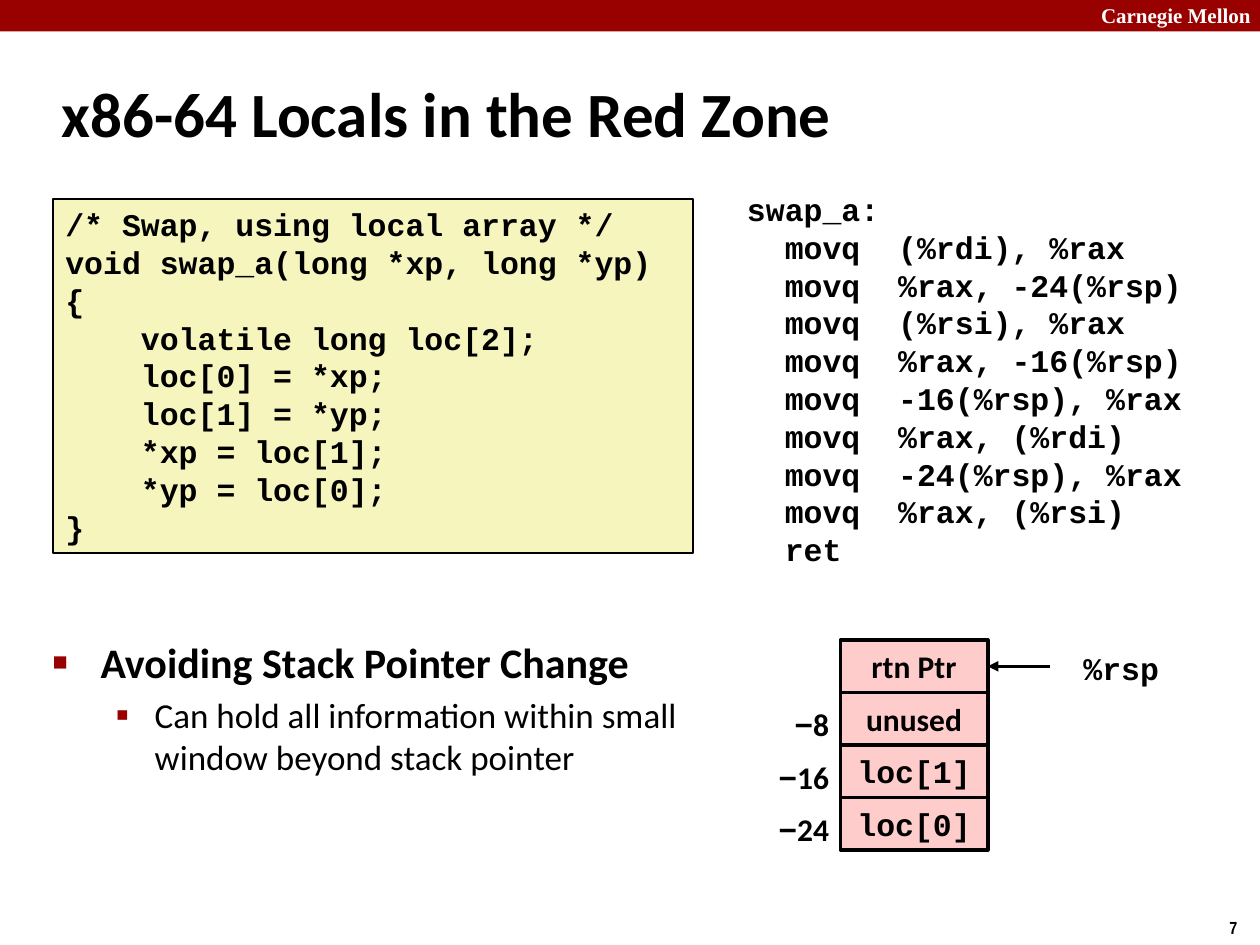
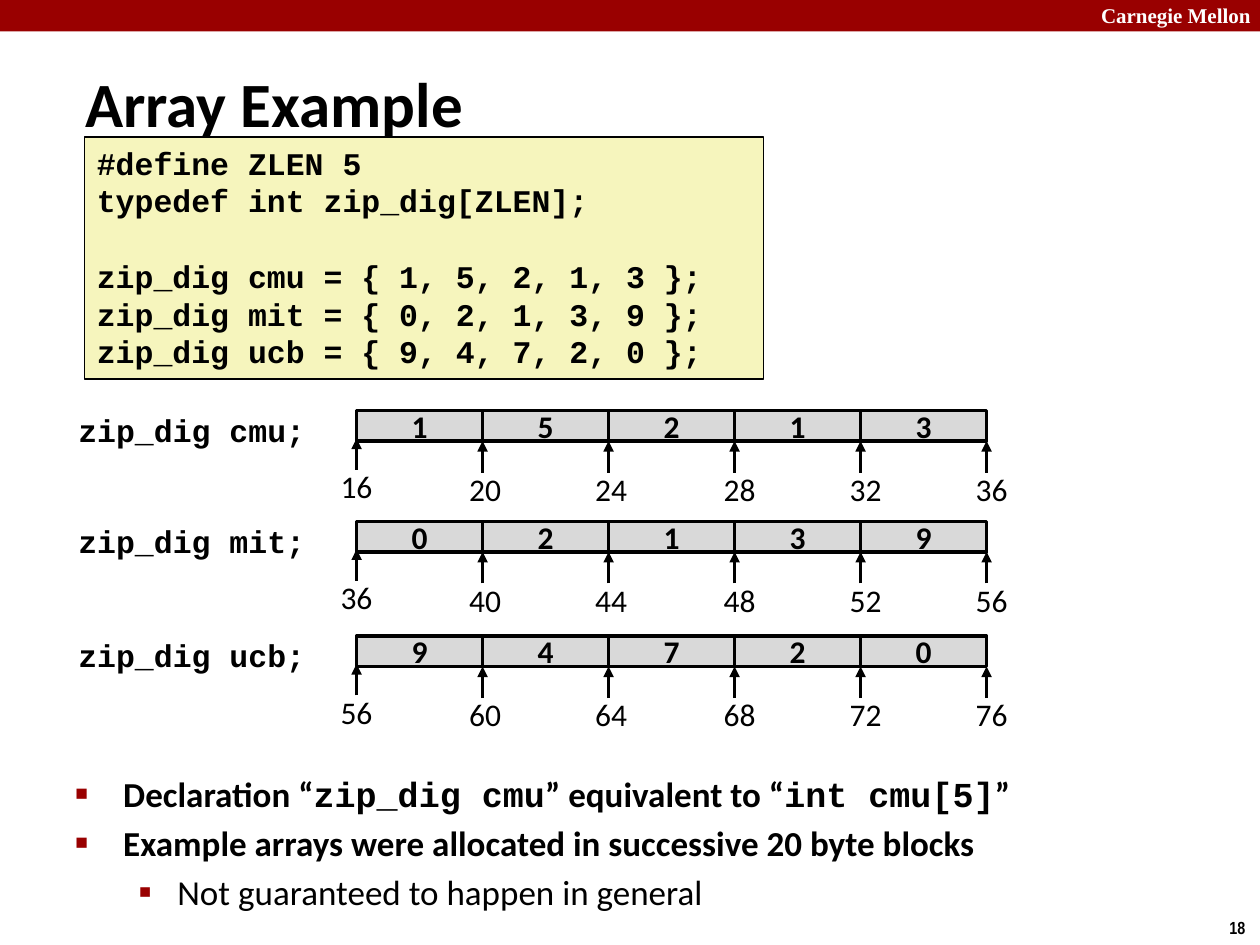
import pptx
import pptx.dml.color
import pptx.enum.shapes
import pptx.enum.text
import pptx.oxml
import pptx.oxml.ns
import pptx.util
from lxml import etree

Inches = pptx.util.Inches
Pt = pptx.util.Pt
ALIGN = pptx.enum.text.PP_ALIGN
ANCHOR = pptx.enum.text.MSO_ANCHOR

# Shared style
BLACK, WHITE, RED = "000000", "FFFFFF", "990000"
CODE_FILL, STACK_FILL, ARRAY_FILL = "F6F5BD", "FFCCCC", "D9D9D9"
BODY_FONT, CODE_FONT = "Calibri", "Courier New"
CODE_LINE_HEIGHT = 21.5

# Bullet levels: left margin, hanging indent, size in percent, character
BULLETS = ((0.38, 0.38, 60, "■"), (0.81, 0.31, 110, "▪"))


def color(hex_value):
    return pptx.dml.color.RGBColor.from_string(hex_value)


def add_child(parent, tag, **attributes):
    child = etree.SubElement(parent, pptx.oxml.ns.qn(tag))
    for name, value in attributes.items():
        child.set(name, str(value))
    return child


def set_bullet(paragraph, level):
    margin, hanging, percent, character = BULLETS[level]
    properties = paragraph._p.get_or_add_pPr()
    properties.set("marL", str(Inches(margin)))
    properties.set("indent", str(-Inches(hanging)))
    bullet_color = add_child(properties, "a:buClr")
    add_child(bullet_color, "a:srgbClr", val=RED)
    add_child(properties, "a:buSzPct", val=percent * 1000)
    add_child(properties, "a:buFont", typeface="Arial")
    add_child(properties, "a:buChar", char=character)


def write_text(paragraph, text, font=BODY_FONT, size=18, bold=True, fill=BLACK,
               align=ALIGN.LEFT, space_before=0, bullet=None):
    """Write a string, or a list of (string, font) pairs, into a paragraph."""
    if bullet is not None:
        paragraph.level = bullet
        set_bullet(paragraph, bullet)
    paragraph.alignment = align
    if space_before:
        paragraph.space_before = Pt(space_before)
    pairs = [(text, font)] if isinstance(text, str) else text
    for words, run_font in pairs:
        run = paragraph.add_run()
        run.text = words
        run.font.name = run_font
        run.font.size = Pt(size)
        run.font.bold = bold
        run.font.color.rgb = color(fill)


class Deck:
    """Holds the presentation, its style and the current slide."""

    def __init__(self):
        self.presentation = pptx.Presentation()
        self.presentation.slide_width = Inches(10)
        self.presentation.slide_height = Inches(7.5)
        self.slide = None

    def new_slide(self, number):
        layout = self.presentation.slide_layouts[6]
        self.slide = self.presentation.slides.add_slide(layout)
        self.rectangle(0, 0, 10, 0.25, RED)
        self.text(8.64, -0.03, 1.43, 0.3, "Carnegie Mellon",
                  font="Times New Roman", size=12, fill=WHITE)
        self.text(9.66, 7.23, 0.34, 0.27, str(number), wrap=False,
                  font="Arial Narrow", size=10)

    def text(self, left, top, width, height, text, wrap=True,
             anchor=ANCHOR.TOP, **text_format):
        shape = self.slide.shapes.add_textbox(
            Inches(left), Inches(top), Inches(width), Inches(height))
        frame = shape.text_frame
        frame.word_wrap = wrap
        frame.vertical_anchor = anchor
        if not wrap:
            frame.auto_size = pptx.enum.text.MSO_AUTO_SIZE.SHAPE_TO_FIT_TEXT
        write_text(frame.paragraphs[0], text, **text_format)
        return shape

    def title(self, left, top, width, height, text):
        self.text(left, top, width, height, text, anchor=ANCHOR.MIDDLE, size=36)

    def rectangle(self, left, top, width, height, fill, line_width=None):
        shape = self.slide.shapes.add_shape(
            pptx.enum.shapes.MSO_SHAPE.RECTANGLE,
            Inches(left), Inches(top), Inches(width), Inches(height))
        shape.shadow.inherit = False
        shape.fill.solid()
        shape.fill.fore_color.rgb = color(fill)
        if line_width:
            shape.line.color.rgb = color(BLACK)
            shape.line.width = Pt(line_width)
        else:
            shape.line.fill.background()
        return shape

    def cell(self, left, top, width, height, fill, text, font=BODY_FONT):
        shape = self.rectangle(left, top, width, height, fill, line_width=2)
        shape.text_frame.word_wrap = False
        shape.text_frame.vertical_anchor = ANCHOR.MIDDLE
        write_text(shape.text_frame.paragraphs[0], text, font=font,
                   align=ALIGN.CENTER)
        return shape

    def code(self, left, top, width, height, source, boxed=True):
        """Show code; an empty line becomes space before the next line."""
        if boxed:
            shape = self.rectangle(left, top, width, height, CODE_FILL, 1)
        else:
            shape = self.slide.shapes.add_textbox(
                Inches(left), Inches(top), Inches(width), Inches(height))
        frame = shape.text_frame
        frame.word_wrap = True
        frame.vertical_anchor = ANCHOR.TOP
        paragraph, gap = frame.paragraphs[0], 0
        for line in source.strip("\n").split("\n"):
            if not line:
                gap = CODE_LINE_HEIGHT
                continue
            paragraph = paragraph or frame.add_paragraph()
            write_text(paragraph, line, font=CODE_FONT, space_before=gap)
            paragraph, gap = None, 0

    def bullets(self, left, top, width, height, items):
        """Show (level, size, text) items as a bulleted list."""
        shape = self.slide.shapes.add_textbox(
            Inches(left), Inches(top), Inches(width), Inches(height))
        frame = shape.text_frame
        frame.word_wrap = True
        for index, (level, size, text) in enumerate(items):
            paragraph = frame.add_paragraph() if index else frame.paragraphs[0]
            write_text(paragraph, text, size=size, bold=level == 0,
                       bullet=level, space_before=0.2 * size if index else 0)

    def arrow(self, start_x, start_y, end_x, end_y, target=None, side=None):
        connector = self.slide.shapes.add_connector(
            pptx.enum.shapes.MSO_CONNECTOR.STRAIGHT,
            Inches(start_x), Inches(start_y), Inches(end_x), Inches(end_y))
        connector.line.color.rgb = color(BLACK)
        connector.line.width = Pt(2)
        line = connector.line._get_or_add_ln()
        add_child(line, "a:tailEnd", type="triangle")
        add_child(connector._element.spPr, "a:effectLst")
        if target is not None:
            connector.end_connect(target, side)


SWAP_SOURCE = """
/* Swap, using local array */
void swap_a(long *xp, long *yp) {
    volatile long loc[2];
    loc[0] = *xp;
    loc[1] = *yp;
    *xp = loc[1];
    *yp = loc[0];
}
"""

SWAP_ASSEMBLY = """
swap_a:
  movq  (%rdi), %rax
  movq  %rax, -24(%rsp)
  movq  (%rsi), %rax
  movq  %rax, -16(%rsp)
  movq  -16(%rsp), %rax
  movq  %rax, (%rdi)
  movq  -24(%rsp), %rax
  movq  %rax, (%rsi)
  ret
"""

ARRAY_SOURCE = """
#define ZLEN 5
typedef int zip_dig[ZLEN];

zip_dig cmu = { 1, 5, 2, 1, 3 };
zip_dig mit = { 0, 2, 1, 3, 9 };
zip_dig ucb = { 9, 4, 7, 2, 0 };
"""


def build_red_zone(deck):
    deck.new_slide(7)
    deck.title(0.39, 0.48, 8.3, 0.83, "x86-64 Locals in the Red Zone")
    deck.bullets(0.32, 5, 5.27, 1.67, (
        (0, 24, "Avoiding Stack Pointer Change"),
        (1, 20, "Can hold all information within small window beyond "
                "stack pointer"),
    ))
    deck.code(0.42, 1.58, 5.08, 2.81, SWAP_SOURCE)
    deck.code(5.83, 1.46, 3.92, 3.1, SWAP_ASSEMBLY, boxed=False)

    # Stack cells with their offsets from the stack pointer
    stack_top, cell_height = 5.08, 5 / 12
    stack = (("rtn Ptr", BODY_FONT), ("unused", BODY_FONT),
             ("loc[1]", CODE_FONT), ("loc[0]", CODE_FONT))
    cells = []
    for row, (label, font) in enumerate(stack):
        top = stack_top + row * cell_height
        cells.append(deck.cell(6.67, top, 1.17, cell_height, STACK_FILL,
                               label, font))
        if row:
            offset = deck.text(5.83, top + 0.05, 0.8, 0.4,
                               [("−", "Arial"), (str(8 * row), BODY_FONT)],
                               align=ALIGN.RIGHT)
            offset.text_frame.margin_left = Inches(0.05)
            offset.text_frame.margin_right = Inches(0.05)

    # Stack pointer
    pointer_y = stack_top + cell_height / 2
    deck.arrow(8.33, pointer_y, 7.84, pointer_y, target=cells[0], side=3)
    deck.text(8.5, 5.1, 0.8, 0.4, "%rsp", wrap=False, font=CODE_FONT)


def draw_array(deck, name, top, digits, address):
    """Draw one array as a row of cells, with an address under each edge."""
    left, cell_height = 2.83, 0.24
    label_shifts = (0, 0.02, 0.02, 0.04, 0.04, 0.04)
    deck.text(0.08, top - 0.05, 2.44, 0.4, f"zip_dig {name};",
              font=CODE_FONT, align=ALIGN.RIGHT)
    for column, digit in enumerate(digits):
        deck.cell(left + column, top, 1, cell_height, ARRAY_FILL, str(digit))
    for edge, shift in enumerate(label_shifts):
        x = left + edge
        lift = 0 if edge else 0.02
        width = 1.08 if edge else 0.73
        bottom = top + cell_height - lift
        deck.arrow(x, bottom + 0.25, x, bottom)
        deck.text(x + shift - width / 2, bottom + 0.18, width, 0.4,
                  str(address + 4 * edge), bold=False, align=ALIGN.CENTER)


def build_array_example(deck):
    deck.new_slide(18)
    deck.title(0.58, 0.5, 5.99, 0.63, "Array Example")
    deck.bullets(0.5, 6.08, 9.17, 1.51, (
        (0, 20, [("Declaration “", BODY_FONT), ("zip_dig cmu", CODE_FONT),
                 ("” equivalent to “", BODY_FONT), ("int cmu[5]", CODE_FONT),
                 ("”", BODY_FONT)]),
        (0, 20, "Example arrays were allocated in successive 20 byte blocks"),
        (1, 20, "Not guaranteed to happen in general"),
    ))
    deck.code(0.67, 1.09, 5.39, 1.92, ARRAY_SOURCE)

    # Arrays in memory
    draw_array(deck, "cmu", 3.26, (1, 5, 2, 1, 3), 16)
    draw_array(deck, "mit", 4.14, (0, 2, 1, 3, 9), 36)
    draw_array(deck, "ucb", 5.05, (9, 4, 7, 2, 0), 56)


def main():
    deck = Deck()
    build_red_zone(deck)
    build_array_example(deck)
    deck.presentation.save("out.pptx")


if __name__ == "__main__":
    main()
